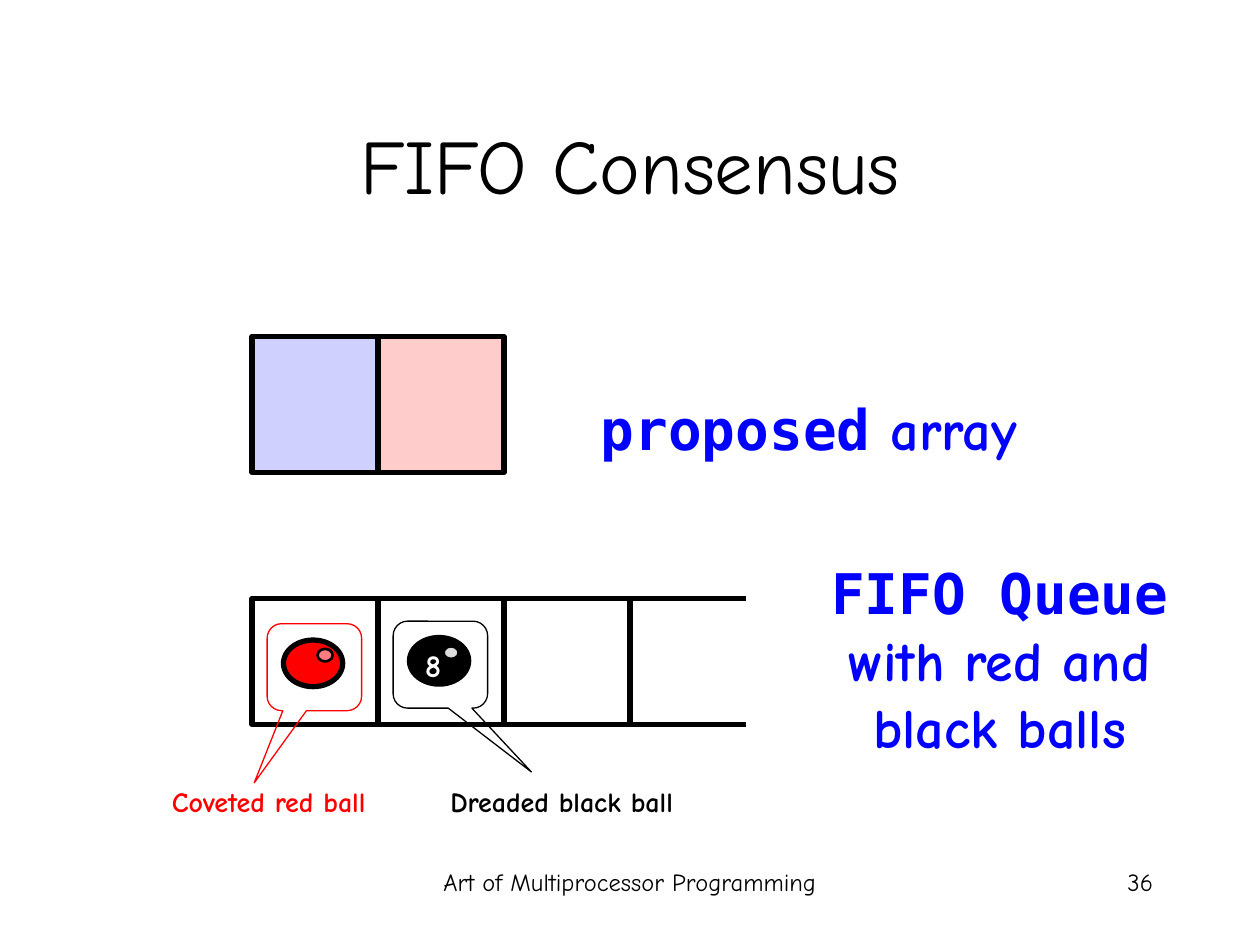
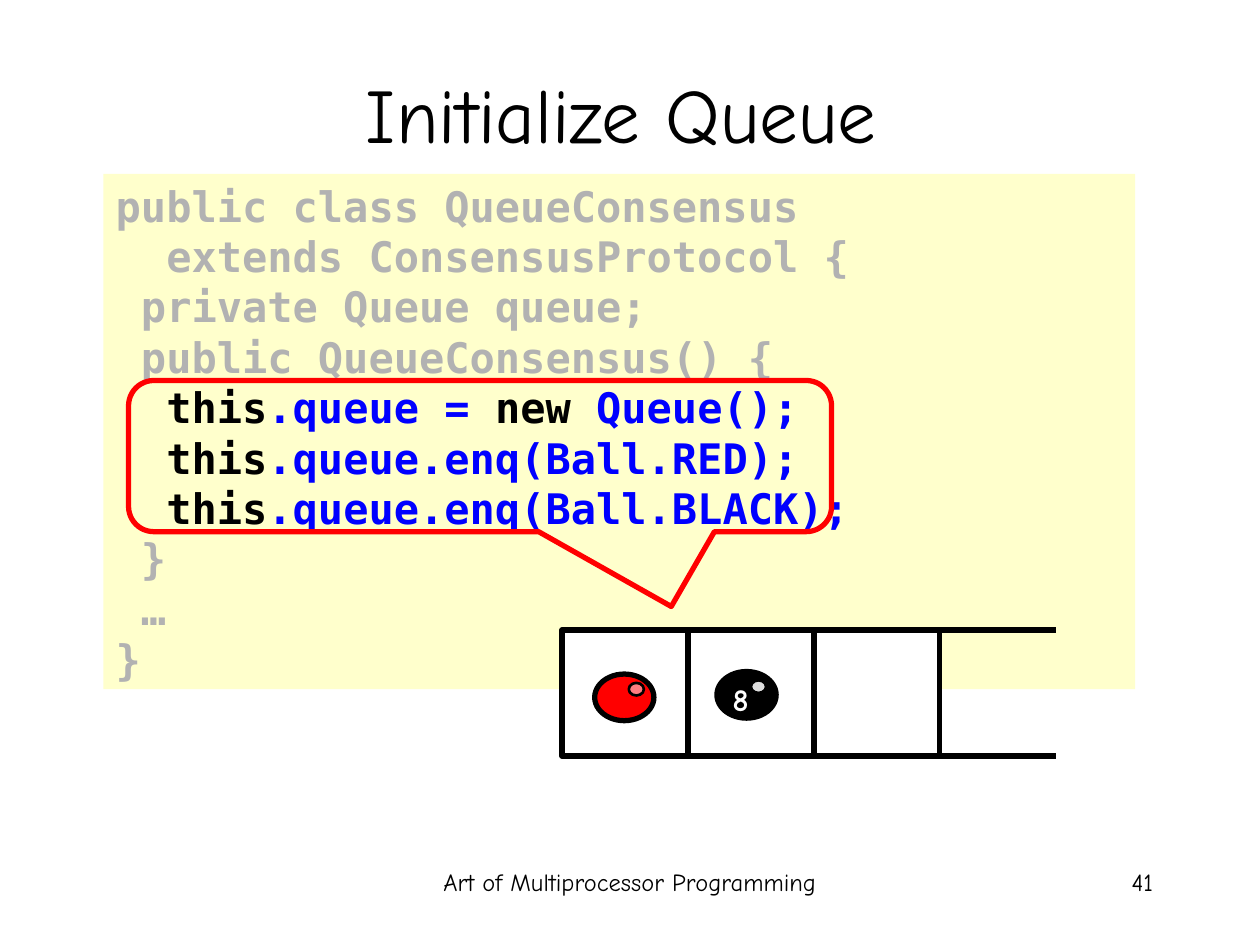
from pptx import Presentation
from pptx.dml.color import RGBColor
from pptx.enum.shapes import MSO_CONNECTOR as Connector, MSO_SHAPE as Shape
from pptx.enum.text import MSO_ANCHOR as Anchor, PP_ALIGN as Align
from pptx.oxml.ns import qn
from pptx.util import Inches, Pt
from lxml.etree import SubElement

BLACK = RGBColor(0x00, 0x00, 0x00)
WHITE = RGBColor(0xFF, 0xFF, 0xFF)
RED = RGBColor(0xFF, 0x00, 0x00)
BLUE = RGBColor(0x00, 0x00, 0xFF)
PERIWINKLE = RGBColor(0x66, 0x66, 0xFF)
PINK = RGBColor(0xFF, 0x7C, 0x80)
SILVER = RGBColor(0xDD, 0xDD, 0xDD)
GRAY = RGBColor(0xB2, 0xB2, 0xB2)
CREAM = RGBColor(0xFF, 0xFF, 0xCC)

HAND, MONO = "Comic Neue", "DejaVu Sans Mono"
TITLE = {"name": HAND, "size": Pt(44), "color": BLACK}
FOOTER = {"name": HAND, "size": Pt(14), "color": BLACK}
LABEL = {"name": HAND, "size": Pt(32), "bold": True, "color": BLUE}
LABEL_CODE = {**LABEL, "name": MONO}
CAPTION = {"name": HAND, "size": Pt(16), "bold": True, "color": BLACK}
EIGHT = {"name": HAND, "size": Pt(18), "bold": True, "color": WHITE}
CODE = {"name": MONO, "size": Pt(24), "bold": True, "color": GRAY}

CELL = 1
CODE_LINES = [
    [("public class QueueConsensus", GRAY)],
    [("  extends ConsensusProtocol {", GRAY)],
    [(" private Queue queue;", GRAY)],
    [(" public QueueConsensus() {", GRAY)],
    [("  this", BLACK), (".queue = ", BLUE), ("new", BLACK), (" Queue();", BLUE)],
    [("  this", BLACK), (".queue.enq(Ball.RED);", BLUE)],
    [("  this", BLACK), (".queue.enq(Ball.BLACK);", BLUE)],
    [(" }", GRAY)],
    [(" …", GRAY)],
    [("}", GRAY)],
]


def write(para, spans, align=Align.LEFT):
    """Fill a paragraph with (text, format) spans."""
    para.alignment = align
    for text, look in spans:
        span = para.add_run()
        span.text = text
        for key, value in look.items():
            if key == "color":
                span.font.color.rgb = value
            else:
                setattr(span.font, key, value)


def add_text(shapes, box, spans, align=Align.LEFT, wrap=True, anchor=Anchor.TOP):
    """Add a one-paragraph text box."""
    frame = shapes.add_textbox(*map(Inches, box)).text_frame
    frame.word_wrap = wrap
    frame.vertical_anchor = anchor
    write(frame.paragraphs[0], spans, align)


def add_shape(shapes, kind, box, fill=None, line=BLACK, weight=3, alpha=None):
    """Add a preset shape with a plain fill and outline."""
    shape = shapes.add_shape(kind, *map(Inches, box))
    shape.shadow.inherit = False
    if fill is None:
        shape.fill.background()
    else:
        shape.fill.solid()
        shape.fill.fore_color.rgb = fill
    if alpha:
        color = shape.fill._xPr.find(qn("a:solidFill"))[0]
        SubElement(color, qn("a:alpha")).set("val", str(alpha * 1000))
    if line is None:
        shape.line.fill.background()
    else:
        shape.line.color.rgb = line
        shape.line.width = Pt(weight)
    return shape


def add_callout(page, box, adjustments, line, weight):
    """Add an unfilled rounded callout with its tip set by adjustments."""
    callout = add_shape(page.shapes, Shape.ROUNDED_RECTANGULAR_CALLOUT, box,
                        line=line, weight=weight)
    for index, value in enumerate(adjustments):
        callout.adjustments[index] = value


def add_rail(shapes, left, top, length):
    """Add a horizontal line that leaves the queue open."""
    rail = shapes.add_connector(
        Connector.STRAIGHT, *map(Inches, (left, top, left + length, top)))
    rail.line.color.rgb = BLACK
    rail.line.width = Pt(3)
    SubElement(rail._element.spPr, qn("a:effectLst"))


def add_queue(page, left, top, fill=None):
    """Draw three cells and the open end of the queue."""
    shapes = page.shapes.add_group_shape().shapes
    for index in range(3):
        add_shape(shapes, Shape.RECTANGLE,
                  (left + index * CELL, top, CELL, CELL), fill)
    for edge in (top, top + CELL):
        add_rail(shapes, left + 2.92, edge, 1)


def add_ball(page, left, top, fill, shine, number=None):
    """Draw a shiny ball, with a number if given."""
    shapes = page.shapes.add_group_shape().shapes
    add_shape(shapes, Shape.OVAL, (left, top, 0.47, 0.37), fill)
    add_shape(shapes, Shape.OVAL, (left + 0.27, top + 0.07, 0.12, 0.1), shine,
              weight=1.5)
    if number:
        add_text(shapes, (left, top + 0.02, 0.35, 0.4), [(number, EIGHT)],
                 Align.RIGHT, wrap=False)


def add_page(deck, title, number, left, top):
    """Add a slide with its title and footer."""
    page = deck.slides.add_slide(deck.slide_layouts[6])
    add_text(page.shapes, (3.42, 6.83, 3.17, 0.5),
             [("Art of Multiprocessor Programming", FOOTER)])
    add_text(page.shapes, (7.17, 6.83, 2.08, 0.5), [(number, FOOTER)], Align.RIGHT)
    add_text(page.shapes, (left, top, 8.5, 1.25), [(title, TITLE)],
             Align.CENTER, anchor=Anchor.MIDDLE)
    return page


def add_proposed_array(page, left, top):
    """Draw the two proposal cells and their label."""
    for index, (fill, alpha) in enumerate([(PERIWINKLE, 30), (RED, 20)]):
        add_shape(page.shapes, Shape.RECTANGLE,
                  (left + index * CELL, top, CELL, 1.08), fill, alpha=alpha)
    add_text(page.shapes, (left + 2.57, top + 0.41, 3.7, 0.64),
             [("proposed", LABEL_CODE), (" array", LABEL)],
             Align.CENTER, wrap=False)


def add_labelled_queue(page, left, top):
    """Draw the queue with its balls, callouts and label."""
    add_queue(page, left, top)
    add_ball(page, left + 0.25, top + 0.33, RED, PINK)
    add_ball(page, left + 1.25, top + 0.31, BLACK, SILVER, "8")
    add_text(page.shapes, (left + 4.17, top - 0.37, 3.53, 1.7),
             [("FIFO Queue", LABEL_CODE), (" with red and black balls", LABEL)],
             Align.CENTER)
    notes = [
        ("Coveted red ball", RED, -0.98, 1.98, (0.12, 0.2), (-0.637, 1.33, 0.167)),
        ("Dreaded black ball", BLACK, 1.22, 2.22, (1.12, 0.18), (0.963, 1.234, 0.167)),
    ]
    for text, color, shift, width, (across, down), tip in notes:
        add_text(page.shapes, (left + shift, top + 1.43, width, 0.37),
                 [(text, {**CAPTION, "color": color})], Align.RIGHT, wrap=False)
        add_callout(page, (left + across, top + down, 0.75, 0.69), tip, color, 0.75)


def add_code(page, box):
    """Draw the code panel."""
    panel = add_shape(page.shapes, Shape.RECTANGLE, box, CREAM, line=None)
    frame = panel.text_frame
    frame.word_wrap = True
    frame.vertical_anchor = Anchor.TOP
    for index, parts in enumerate(CODE_LINES):
        para = frame.add_paragraph() if index else frame.paragraphs[0]
        write(para, [(text, {**CODE, "color": color}) for text, color in parts])


def build_consensus(deck):
    """Build the slide on the array and the queue."""
    page = add_page(deck, "FIFO Consensus", "36", 0.75, 0.67)
    add_proposed_array(page, 2, 2.67)
    add_labelled_queue(page, 2, 4.75)


def build_initialize(deck):
    """Build the slide on the code that fills the queue."""
    page = add_page(deck, "Initialize Queue", "41", 0.68, 0.27)
    add_code(page, (0.82, 1.38, 8.19, 4.09))
    add_callout(page, (1.02, 3.02, 5.58, 1.2), (0.272, 0.995, 0.167), RED, 3)
    left, top = 4.46, 5
    add_queue(page, left, top, WHITE)
    add_ball(page, left + 1.23, top + 0.33, BLACK, SILVER, "8")
    add_ball(page, left + 0.26, top + 0.35, RED, PINK)


def main():
    """Build and save the deck."""
    deck = Presentation()
    deck.slide_width, deck.slide_height = Inches(10), Inches(7.5)
    build_consensus(deck)
    build_initialize(deck)
    deck.save("out.pptx")


if __name__ == "__main__":
    main()
